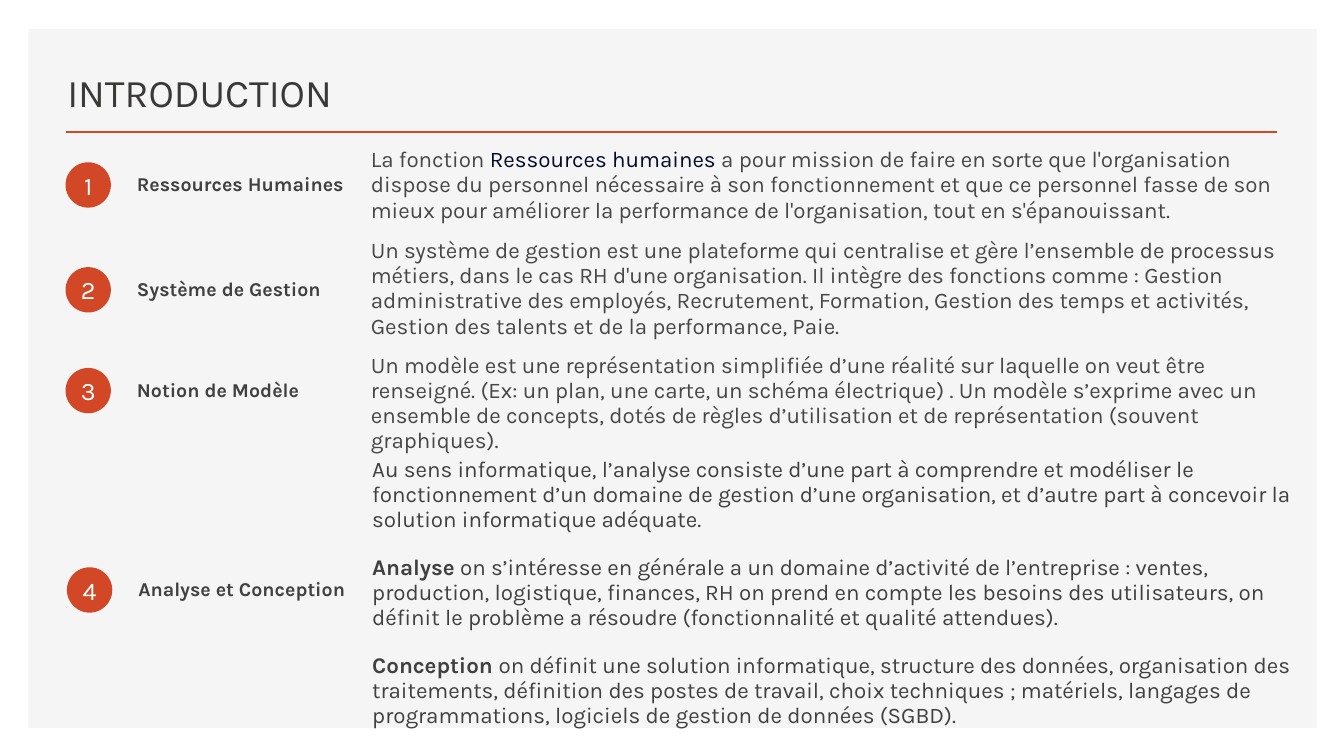
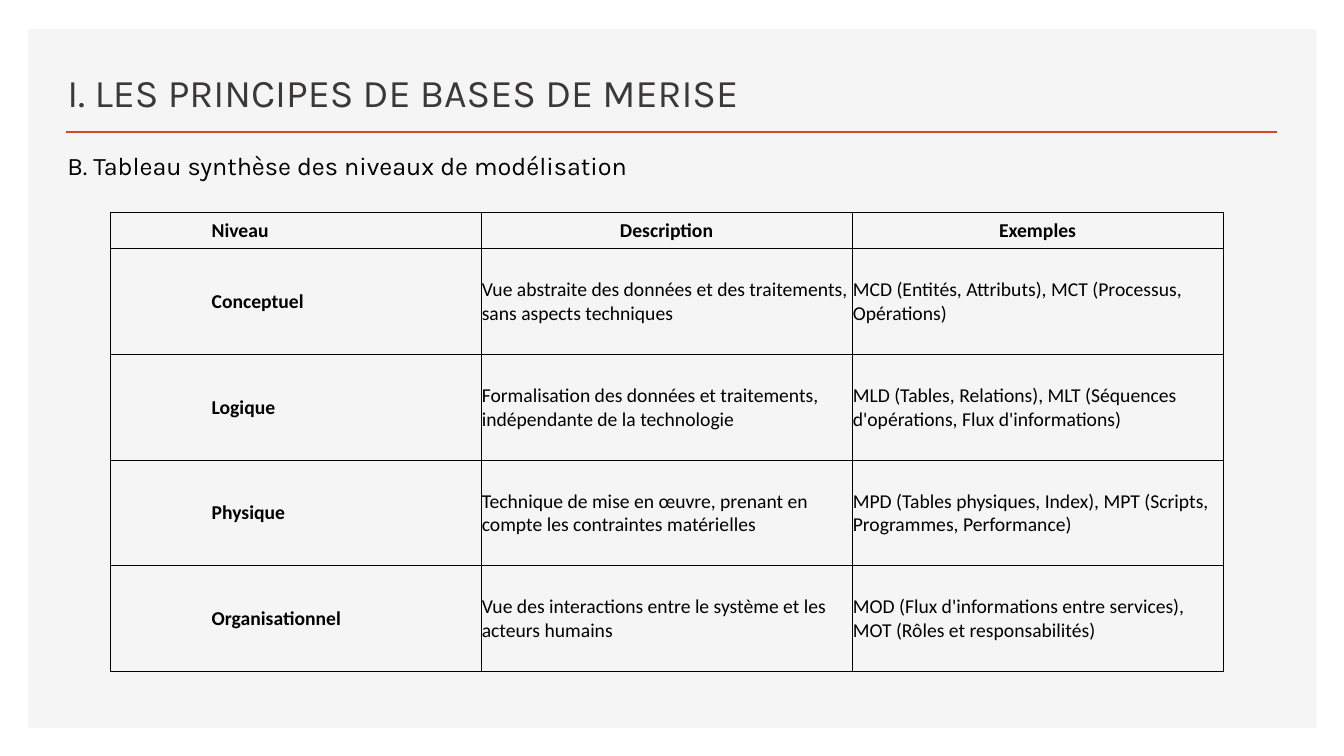
from dataclasses import dataclass
from typing import NamedTuple, Optional

import lxml.etree
import pptx
import pptx.dml.color
import pptx.enum.shapes
import pptx.enum.text
import pptx.oxml.ns
import pptx.shapes.autoshape
import pptx.slide
import pptx.table
import pptx.text.text
import pptx.util

Pt = pptx.util.Pt
qn = pptx.oxml.ns.qn
ALIGN = pptx.enum.text.PP_ALIGN
ANCHOR = pptx.enum.text.MSO_ANCHOR


@dataclass(frozen=True)
class Theme:
    panel: str = "F5F5F5"
    accent: str = "D24726"
    title: str = "3B3838"
    label: str = "404040"
    body: str = "474747"
    keyword: str = "040C28"
    black: str = "000000"
    white: str = "FFFFFF"
    font: str = "Karla"
    table_font: str = "Calibri"
    title_size: float = 28
    heading_size: float = 18
    body_size: float = 16
    small_size: float = 14


THEME = Theme()


class Box(NamedTuple):
    left: float
    top: float
    width: float
    height: float

    def lengths(self) -> tuple[pptx.util.Length, ...]:
        return tuple(Pt(value) for value in self)


class Style(NamedTuple):
    size: float
    color: str
    bold: bool = False
    font: str = THEME.font


class Span(NamedTuple):
    """A stretch of text that may depart from the style of its paragraph."""
    text: str
    color: Optional[str] = None
    bold: bool = False


@dataclass(frozen=True)
class Topic:
    label: str
    badge_top: float
    body_top: float
    body_height: float
    paragraphs: list[list[Span]]
    color: str = THEME.body
    shift: float = 0


PANEL = Box(20.2, 20.9, 920.2, 499)
TITLE = Box(41, 35.3, 541.4, 50.4)
RULE_LEFT, RULE_RIGHT, RULE_TOP = 47.5, 912.2, 94.3
SUBTITLE = Box(41, 103.7, 872, 72.7)

BADGE_LEFT, BADGE_SIZE = 46.8, 32.4
LABEL_LEFT, LABEL_WIDTH, LABEL_DROP = 90.7, 162.7, 2.2
BODY_LEFT, BODY_WIDTH = 257.8, 677.5

TABLE_LEFT, TABLE_TOP = 78.7, 152
COLUMN_WIDTH, HEADER_HEIGHT, ROW_HEIGHT = 265, 25.4, 75.6
LEVEL_INDENT, CELL_INSET, BORDER_WIDTH = 72, 0.5, 0.5

TITLE_STYLE = Style(THEME.title_size, THEME.title)
SUBTITLE_STYLE = Style(THEME.heading_size, THEME.black)
BADGE_STYLE = Style(THEME.heading_size, THEME.white)
LABEL_STYLE = Style(THEME.small_size, THEME.label, bold=True)
CELL_STYLE = Style(THEME.small_size, THEME.black, font=THEME.table_font)

TOPICS = [
    Topic("Ressources Humaines", 115.9, 101.5, 72.7, [[
        Span("La fonction "),
        Span("Ressources humaines", color=THEME.keyword),
        Span(" a pour mission de faire en sorte que l'organisation dispose du personnel "
             "nécessaire à son fonctionnement et que ce personnel fasse de son mieux pour "
             "améliorer la performance de l'organisation, tout en s'épanouissant."),
    ]]),
    Topic("Système de Gestion", 190.8, 166.3, 82.8, [[
        Span("Un système de gestion est une plateforme qui centralise et gère l’ensemble de "
             "processus métiers, dans le cas RH d'une organisation. Il intègre des fonctions "
             "comme : Gestion administrative des employés, Recrutement, Formation, Gestion des "
             "temps et activités, Gestion des talents et de la performance, Paie."),
    ]]),
    Topic("Notion de Modèle", 262.8, 248.4, 64.8, [[
        Span("Un modèle est une représentation simplifiée d’une réalité sur laquelle on veut "
             "être renseigné. (Ex: un plan, une carte, un schéma électrique) . Un modèle "
             "s’exprime avec un ensemble de concepts, dotés de règles d’utilisation et de "
             "représentation (souvent graphiques)."),
    ]]),
    Topic("Analyse et Conception", 405.2, 322.6, 197.3, [
        [Span("Au sens informatique, l’analyse consiste d’une part à comprendre et modéliser le "
              "fonctionnement d’un domaine de gestion d’une organisation, et d’autre part à "
              "concevoir la solution informatique adéquate.")],
        [Span("Analyse", bold=True),
         Span(" on s’intéresse en générale a un domaine d’activité de l’entreprise : ventes, "
              "production, logistique, finances, RH on prend en compte les besoins des "
              "utilisateurs, on définit le problème a résoudre (fonctionnalité et qualité "
              "attendues).")],
        [Span("Conception ", bold=True),
         Span("on définit une solution informatique, structure des données, organisation des "
              "traitements, définition des postes de travail, choix techniques ; matériels, "
              "langages de programmations, logiciels de gestion de données (SGBD).")],
    ], color=THEME.label, shift=1),
]

LEVELS = [
    ("Niveau", "Description", "Exemples"),
    ("Conceptuel", "Vue abstraite des données et des traitements, sans aspects techniques",
     "MCD (Entités, Attributs), MCT (Processus, Opérations)"),
    ("Logique", "Formalisation des données et traitements, indépendante de la technologie",
     "MLD (Tables, Relations), MLT (Séquences d'opérations, Flux d'informations)"),
    ("Physique", "Technique de mise en œuvre, prenant en compte les contraintes matérielles",
     "MPD (Tables physiques, Index), MPT (Scripts, Programmes, Performance)"),
    ("Organisationnel", "Vue des interactions entre le système et les acteurs humains",
     "MOD (Flux d'informations entre services), MOT (Rôles et responsabilités)"),
]


def rgb(color: str) -> pptx.dml.color.RGBColor:
    return pptx.dml.color.RGBColor.from_string(color)


def format_runs(paragraph: pptx.text.text._Paragraph, style: Style) -> None:
    for run in paragraph.runs:
        run.font.name = style.font
        run.font.size = Pt(style.size)
        run.font.bold = style.bold
        run.font.color.rgb = rgb(style.color)


def add_text(slide: pptx.slide.Slide, box: Box, text: str, style: Style,
             anchor: ANCHOR = ANCHOR.TOP) -> pptx.text.text.TextFrame:
    frame = slide.shapes.add_textbox(*box.lengths()).text_frame
    frame.word_wrap = True
    frame.vertical_anchor = anchor
    frame.text = text
    format_runs(frame.paragraphs[0], style)
    return frame


def space_paragraphs(frame: pptx.text.text.TextFrame) -> None:
    for paragraph in frame.paragraphs:
        paragraph.line_spacing = Pt(18)
        paragraph.space_before = Pt(10)
        paragraph.space_after = Pt(6)


def add_solid(slide: pptx.slide.Slide, kind: pptx.enum.shapes.MSO_SHAPE, box: Box,
              color: str) -> pptx.shapes.autoshape.Shape:
    """Add a filled shape without outline or shadow."""
    solid = slide.shapes.add_shape(kind, *box.lengths())
    solid.shadow.inherit = False
    solid.fill.solid()
    solid.fill.fore_color.rgb = rgb(color)
    solid.line.fill.background()
    return solid


def add_page(deck: pptx.presentation.Presentation, title: str) -> pptx.slide.Slide:
    """Add a slide with the shared panel, title and rule."""
    slide = deck.slides.add_slide(deck.slide_layouts[6])
    add_solid(slide, pptx.enum.shapes.MSO_SHAPE.RECTANGLE, PANEL, THEME.panel)
    rule = slide.shapes.add_connector(
        pptx.enum.shapes.MSO_CONNECTOR.STRAIGHT,
        Pt(RULE_LEFT), Pt(RULE_TOP), Pt(RULE_RIGHT), Pt(RULE_TOP))
    rule.line.color.rgb = rgb(THEME.accent)
    rule.line.width = Pt(2)
    lxml.etree.SubElement(rule._element.spPr, qn("a:effectLst"))
    add_text(slide, TITLE, title, TITLE_STYLE, ANCHOR.BOTTOM)
    return slide


def add_badge(slide: pptx.slide.Slide, left: float, top: float, number: int) -> None:
    badge = add_solid(slide, pptx.enum.shapes.MSO_SHAPE.OVAL,
                      Box(left, top, BADGE_SIZE, BADGE_SIZE), THEME.accent)
    frame = badge.text_frame
    frame.margin_left = frame.margin_right = frame.margin_top = frame.margin_bottom = 0
    frame.vertical_anchor = ANCHOR.MIDDLE
    frame.text = str(number)
    frame.paragraphs[0].alignment = ALIGN.CENTER
    format_runs(frame.paragraphs[0], BADGE_STYLE)


def add_topic(slide: pptx.slide.Slide, number: int, topic: Topic) -> None:
    add_badge(slide, BADGE_LEFT + topic.shift, topic.badge_top, number)
    label_box = Box(LABEL_LEFT + topic.shift, topic.badge_top + LABEL_DROP,
                    LABEL_WIDTH, BADGE_SIZE)
    space_paragraphs(add_text(slide, label_box, topic.label, LABEL_STYLE))

    body_box = Box(BODY_LEFT + topic.shift, topic.body_top, BODY_WIDTH, topic.body_height)
    style = Style(THEME.body_size, topic.color)
    body = add_text(slide, body_box, "", style)
    for index, spans in enumerate(topic.paragraphs):
        paragraph = body.add_paragraph() if index else body.paragraphs[0]
        for span in spans:
            paragraph.add_run().text = span.text
        format_runs(paragraph, style)
        for run, span in zip(paragraph.runs, spans):
            run.font.bold = span.bold
            run.font.color.rgb = rgb(span.color or topic.color)
    space_paragraphs(body)


def set_borders(cell: pptx.table._Cell) -> None:
    properties = cell._tc.get_or_add_tcPr()
    for side in ("a:lnL", "a:lnR", "a:lnT", "a:lnB"):
        border = lxml.etree.SubElement(properties, qn(side), w=str(int(Pt(BORDER_WIDTH))))
        fill = lxml.etree.SubElement(border, qn("a:solidFill"))
        lxml.etree.SubElement(fill, qn("a:srgbClr"), val=THEME.black)


def fill_cell(cell: pptx.table._Cell, text: str, is_header: bool, is_level: bool) -> None:
    set_borders(cell)
    cell.fill.background()
    cell.vertical_anchor = ANCHOR.MIDDLE
    cell.margin_left = cell.margin_right = cell.margin_top = Pt(CELL_INSET)
    cell.margin_bottom = 0
    cell.text_frame.text = text
    paragraph = cell.text_frame.paragraphs[0]
    if is_level:
        paragraph.level = 2
        indent = paragraph._p.get_or_add_pPr()
        indent.set("marL", str(int(Pt(LEVEL_INDENT))))
        indent.set("indent", "0")
    elif is_header:
        paragraph.alignment = ALIGN.CENTER
    format_runs(paragraph, CELL_STYLE._replace(bold=is_header or is_level))


def add_level_table(slide: pptx.slide.Slide) -> None:
    heights = [HEADER_HEIGHT] + [ROW_HEIGHT] * (len(LEVELS) - 1)
    column_count = len(LEVELS[0])
    box = Box(TABLE_LEFT, TABLE_TOP, COLUMN_WIDTH * column_count, sum(heights))
    table = slide.shapes.add_table(len(LEVELS), column_count, *box.lengths()).table
    table.first_row = table.horz_banding = False
    for column in table.columns:
        column.width = Pt(COLUMN_WIDTH)
    for row_index, (texts, height) in enumerate(zip(LEVELS, heights)):
        table.rows[row_index].height = Pt(height)
        for column_index, text in enumerate(texts):
            fill_cell(table.cell(row_index, column_index), text,
                      is_header=row_index == 0, is_level=column_index == 0)


def main() -> None:
    deck = pptx.Presentation()
    deck.slide_width, deck.slide_height = Pt(960), Pt(540)

    introduction = add_page(deck, "INTRODUCTION")
    for number, topic in enumerate(TOPICS, start=1):
        add_topic(introduction, number, topic)

    principles = add_page(deck, "I. LES PRINCIPES DE BASES DE MERISE")
    add_text(principles, SUBTITLE, "B. Tableau synthèse des niveaux de modélisation",
             SUBTITLE_STYLE)
    add_level_table(principles)

    deck.save("out.pptx")


if __name__ == "__main__":
    main()
